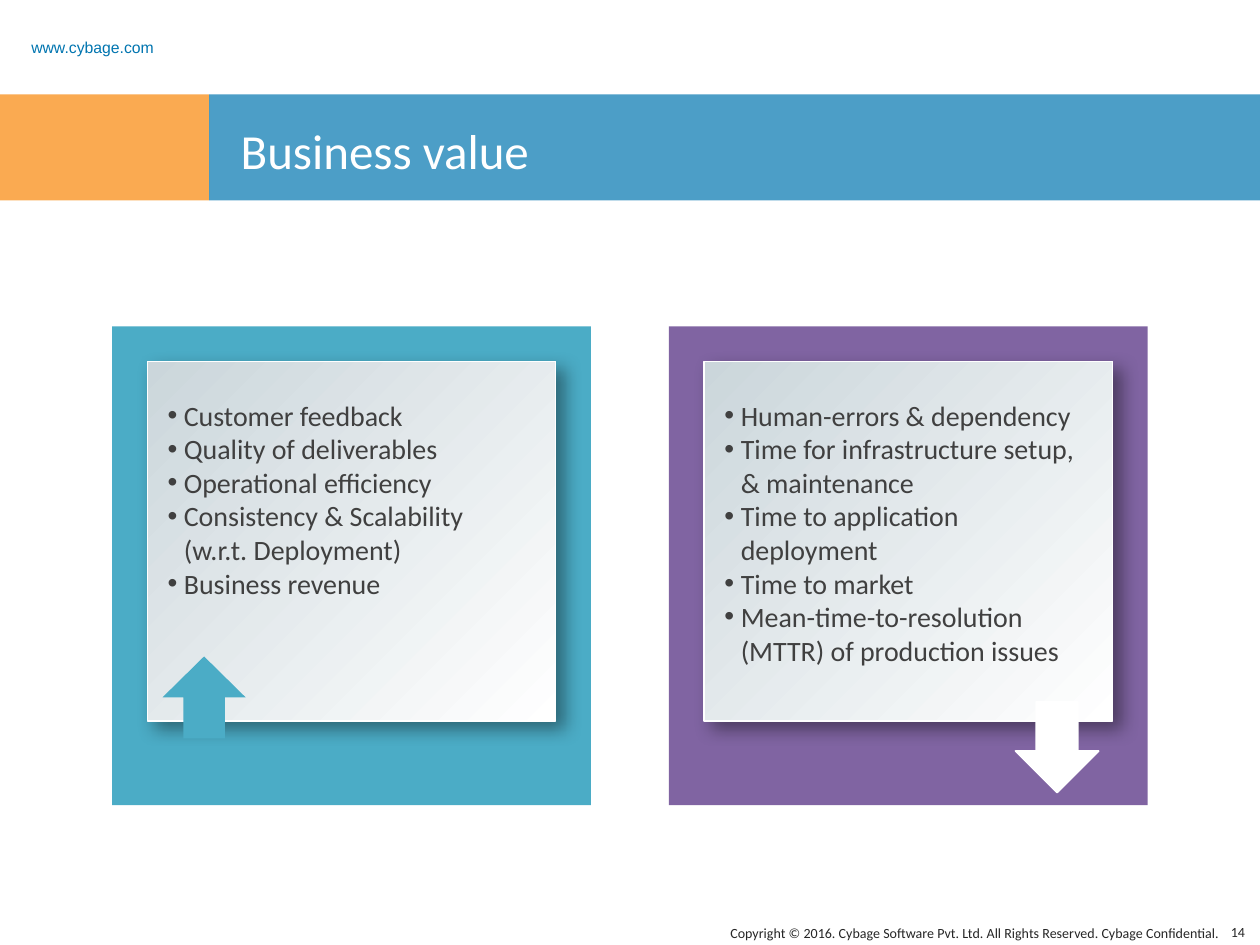
from lxml.etree import SubElement
from pptx import Presentation
from pptx.dml.color import RGBColor
from pptx.enum.shapes import MSO_SHAPE
from pptx.enum.text import MSO_ANCHOR, PP_ALIGN
from pptx.oxml.ns import qn
from pptx.util import Emu, Inches, Pt

COLORS = {
    "orange": "F88608",
    "blue": "0075B0",
    "teal": "4BACC6",
    "purple": "8064A2",
    "white": "FFFFFF",
    "mist": "CBD6DB",
    "text": "404040",
    "footer": "262626",
    "shadow": "000000",
}
GAINS = [
    ["Customer feedback"],
    ["Quality of deliverables"],
    ["Operational efficiency"],
    ["Consistency & Scalability", "(w.r.t. Deployment)"],
    ["Business revenue"],
]
REDUCTIONS = [
    ["Human-errors & dependency"],
    ["Time for infrastructure setup, & maintenance"],
    ["Time to application deployment"],
    ["Time to market"],
    ["Mean-time-to-resolution (MTTR) of production issues"],
]


def rgb(name):
    return RGBColor.from_string(COLORS[name])


def add_run(paragraph, text, size, color, font="Calibri"):
    run = paragraph.add_run()
    run.text = text
    run.font.name = font
    run.font.size = Pt(size)
    run.font.color.rgb = rgb(color)


def add_filled(slide, kind, box, color, opacity=100):
    """Add a borderless shape with a solid fill; opacity is a percentage."""
    shape = slide.shapes.add_shape(kind, *box)
    shape.shadow.inherit = False
    shape.fill.solid()
    shape.fill.fore_color.rgb = rgb(color)
    shape.line.fill.background()
    if opacity < 100:
        color_element = shape.element.spPr.find(qn("a:solidFill"))[0]
        SubElement(color_element, qn("a:alpha"), val=str(opacity * 1000))
    return shape


def add_label(slide, box, text, size, color, font="Calibri",
              align=PP_ALIGN.LEFT, anchor=MSO_ANCHOR.MIDDLE):
    frame = slide.shapes.add_textbox(*box).text_frame
    frame.word_wrap = True
    frame.vertical_anchor = anchor
    paragraph = frame.paragraphs[0]
    paragraph.alignment = align
    add_run(paragraph, text, size, color, font)
    return paragraph


def add_header(slide, left, top, width, height):
    split = left + Inches(1.66)
    add_filled(slide, MSO_SHAPE.RECTANGLE,
               (left, top, split - left, height), "orange", 70)
    add_filled(slide, MSO_SHAPE.RECTANGLE,
               (split, top, left + width - split, height), "blue", 70)
    address = add_label(slide, (left + Inches(0.15), top - Inches(0.51), Inches(1.5), Inches(0.19)),
                        "www.cybage.com", 9, "blue", "Arial")
    address.line_spacing = 1.5

    title = slide.shapes.title
    title.left, title.top = split + Inches(0.15), top + Inches(0.13)
    title.width, title.height = Inches(8.06), Inches(0.62)
    title.text_frame.vertical_anchor = MSO_ANCHOR.MIDDLE
    paragraph = title.text_frame.paragraphs[0]
    paragraph.alignment = PP_ALIGN.LEFT
    add_run(paragraph, "Business value", 28, "white")
    # The title has to stand in front of the bars.
    title.element.getparent().append(title.element)


def add_footer(slide, left, top, width, height):
    number_width = Inches(0.4)
    add_label(slide, (left, top, width - Inches(0.2), height),
              "Copyright © 2016. Cybage Software Pvt. Ltd. All Rights Reserved. Cybage Confidential.",
              8, "footer", align=PP_ALIGN.RIGHT, anchor=MSO_ANCHOR.TOP)
    add_label(slide, (left + width - number_width, top + Inches(0.02), number_width, Inches(0.17)),
              "14", 8, "footer", align=PP_ALIGN.RIGHT)


def add_card(slide, left, top, width, height):
    """Add the gradient card with a white edge and a soft shadow."""
    card = add_filled(slide, MSO_SHAPE.RECTANGLE, (left, top, width, height), "mist")
    card.fill.gradient()
    card.fill.gradient_angle = 315
    for stop, color, position in zip(card.fill.gradient_stops, ("mist", "white"), (0, 1)):
        stop.color.rgb = rgb(color)
        stop.position = position
    card.line.color.rgb = rgb("white")
    card.line.width = Pt(1)
    effects = card.element.spPr.find(qn("a:effectLst"))
    shadow = SubElement(effects, qn("a:outerShdw"), blurRad=str(Pt(10)), dist=str(Pt(6)),
                        dir=str(45 * 60000), algn="tl", rotWithShape="0")
    color = SubElement(shadow, qn("a:srgbClr"), val=COLORS["shadow"])
    SubElement(color, qn("a:alpha"), val="40000")


def add_bullets(slide, left, top, width, height, items):
    frame = slide.shapes.add_textbox(left, top, width, height).text_frame
    frame.word_wrap = True
    frame.margin_left = frame.margin_right = frame.margin_top = frame.margin_bottom = Emu(0)
    for index, lines in enumerate(items):
        paragraph = frame.add_paragraph() if index else frame.paragraphs[0]
        properties = paragraph._p.get_or_add_pPr()
        properties.set("marL", str(Inches(0.13)))
        properties.set("indent", str(-Inches(0.13)))
        SubElement(properties, qn("a:buFont"), typeface="Arial")
        SubElement(properties, qn("a:buChar"), char="•")
        for line_index, line in enumerate(lines):
            if line_index:
                paragraph.add_line_break()
            add_run(paragraph, line, 16, "text")


def add_panel(slide, left, top, size, color, items, text_height):
    """Add a coloured square holding a card with a bulleted list."""
    add_filled(slide, MSO_SHAPE.RECTANGLE, (left, top, size, size), color)
    inset = Inches(0.28)
    add_card(slide, left + inset, top + inset, size - 2 * inset, Inches(2.85))
    add_bullets(slide, left + Inches(0.44), top + Inches(0.57), Inches(2.97), text_height, items)


def main():
    presentation = Presentation()
    presentation.slide_width, presentation.slide_height = Inches(10), Inches(7.5)
    slide = presentation.slides.add_slide(presentation.slide_layouts[5])
    add_header(slide, Inches(0), Inches(0.75), presentation.slide_width, Inches(0.84))
    add_footer(slide, Inches(4.02), Inches(7.29), Inches(5.96), Inches(0.26))

    top, size, margin = Inches(2.59), Inches(3.8), Inches(0.89)
    right = presentation.slide_width - margin - size
    add_panel(slide, margin, top, size, "teal", GAINS, Inches(1.62))
    add_filled(slide, MSO_SHAPE.UP_ARROW,
               (margin + Inches(0.4), top + Inches(2.62), Inches(0.66), Inches(0.65)), "teal")
    add_panel(slide, right, top, size, "purple", REDUCTIONS, Inches(2.15))
    down_arrow = add_filled(slide, MSO_SHAPE.DOWN_ARROW,
                            (right + Inches(2.75), top + Inches(2.98), Inches(0.66), Inches(0.72)),
                            "white")
    down_arrow.line.color.rgb = rgb("white")
    down_arrow.line.width = Pt(1)
    presentation.save("out.pptx")


if __name__ == "__main__":
    main()
